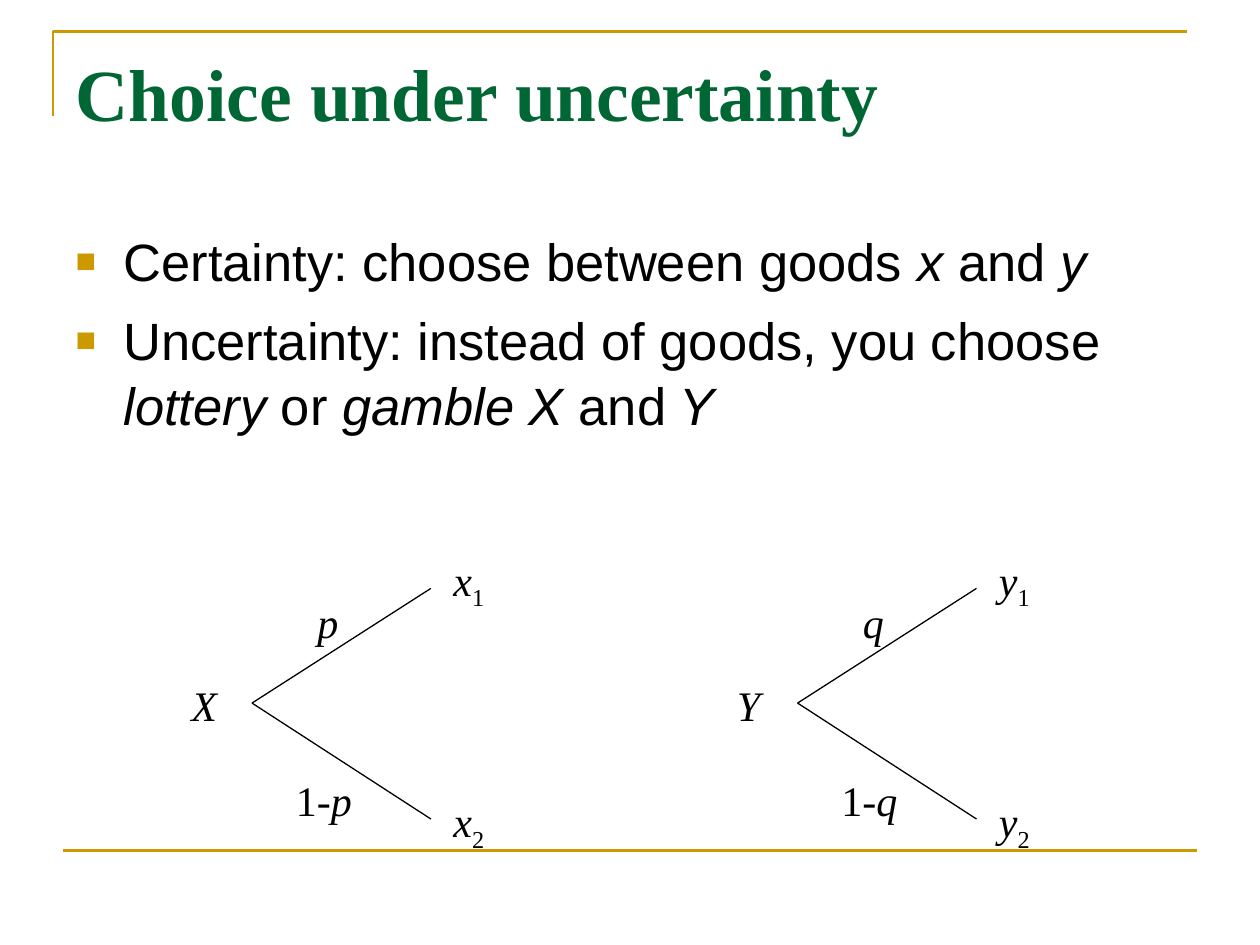
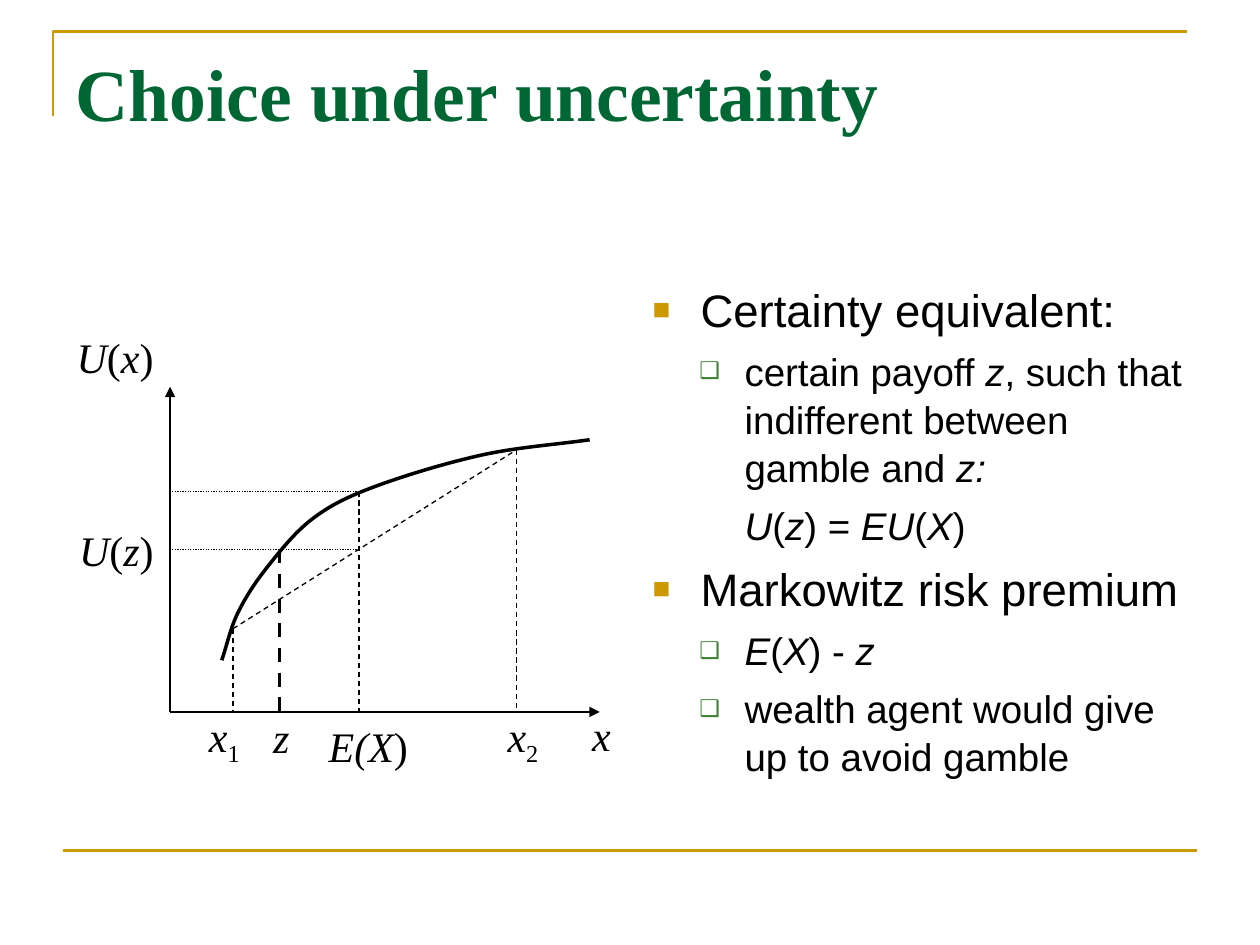
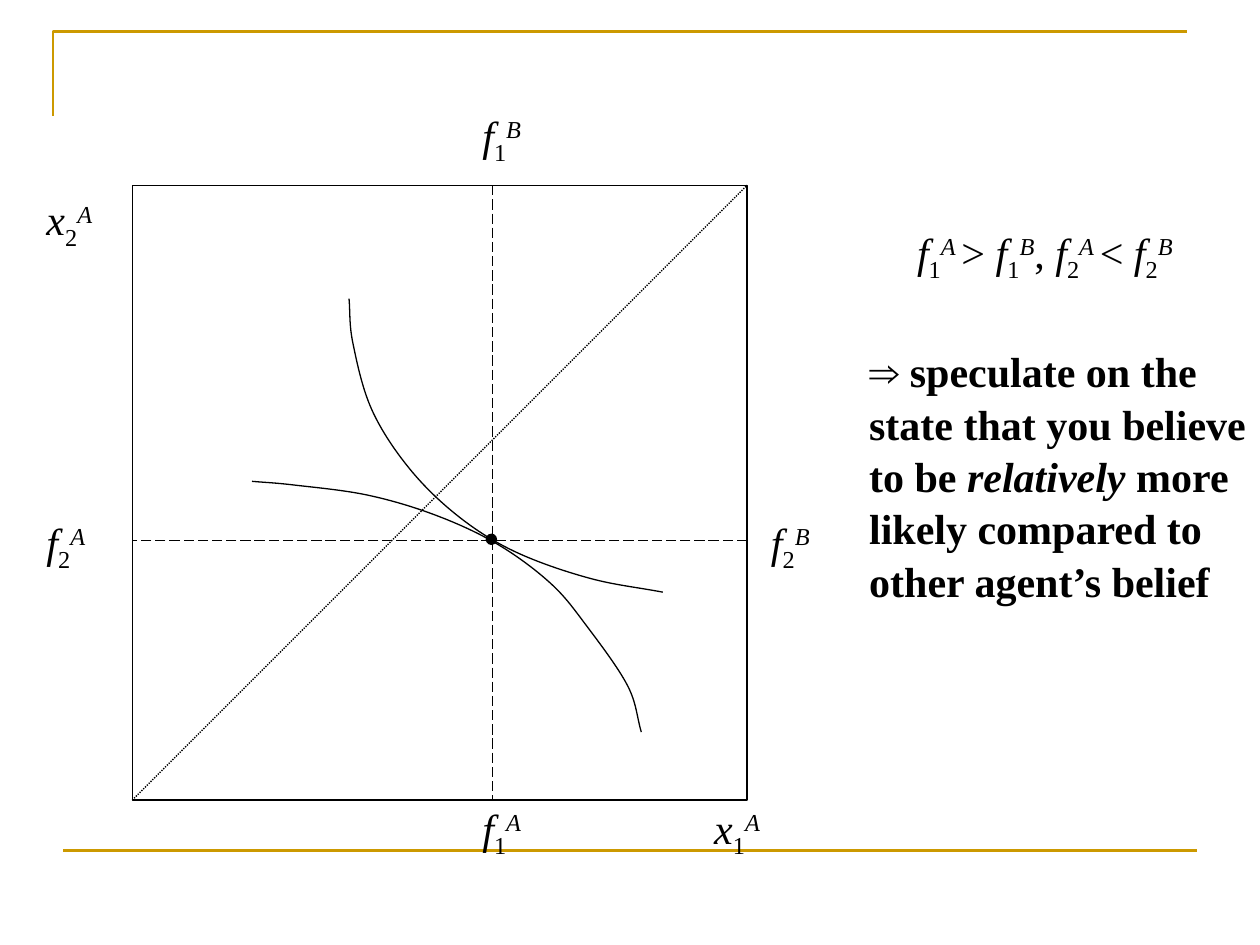
from dataclasses import dataclass
from typing import Optional

import pptx
import pptx.dml.color
import pptx.enum.dml
import pptx.enum.shapes
import pptx.enum.text
import pptx.oxml
import pptx.oxml.ns
import pptx.util
from lxml import etree

Inches = pptx.util.Inches
Pt = pptx.util.Pt
qn = pptx.oxml.ns.qn
DASHES = pptx.enum.dml.MSO_LINE

# Shared look
GOLD, GREEN, LEAF, BLACK = "CC9900", "006633", "3B812F", "000000"
SERIF, SANS = "Times New Roman", "Arial"
TITLE_FONT = {"name": SERIF, "size": Pt(42), "bold": True}
LABEL_FONT = {"name": SERIF, "size": Pt(24)}
LINE_SPACING = 1.04
THIN, THICK = 0.75, 2


@dataclass
class Level:
    size: int
    before: float
    margin: float
    hanging: float
    bullet: str = ""
    colour: str = ""
    bullet_size: int = 0
    level: int = 0


@dataclass
class Label:
    text: str
    left: float
    top: float
    width: float
    height: float = 0.5


@dataclass
class Line:
    x1: float
    y1: float
    x2: float
    y2: float
    width: float = THIN
    dash: Optional[pptx.enum.dml.MSO_LINE] = None
    arrow: bool = False
    colour: str = BLACK


LARGE = Level(30, 7.5, 0.38, 0.38, "■", GOLD, 65)
MEDIUM = Level(26, 6.5, 0.38, 0.38, "■", GOLD, 65)
DETAIL = Level(22, 5.5, 0.73, 0.36, "❑", LEAF, 60, 1)
FORMULA = Level(22, 5.5, 0.73, 0, level=1)


def rgb(colour: str) -> pptx.dml.color.RGBColor:
    return pptx.dml.color.RGBColor.from_string(colour)


# Text
def add_runs(p, markup: str, font: dict, colour: str = BLACK) -> None:
    """Add runs; * toggles italic, _ subscript and ^ superscript."""
    italic, base, text = False, 0, ""
    offsets = {"_": -25000, "^": 30000}
    for ch in markup + "\n":
        if ch not in "*_^\n":
            text += ch
            continue
        if text:
            r = p.add_run()
            r.text = text
            for key, value in {**font, "italic": italic}.items():
                setattr(r.font, key, value)
            r.font.color.rgb = rgb(colour)
            if base:
                r._r.get_or_add_rPr().set("baseline", str(base))
            text = ""
        if ch == "*":
            italic = not italic
        elif ch in offsets:
            base = 0 if base == offsets[ch] else offsets[ch]


def place(sp, left: float, top: float, width: float, height: float) -> None:
    for key, value in {"left": left, "top": top, "width": width, "height": height}.items():
        setattr(sp, key, Inches(value))


def setup_frame(tf, auto_size) -> None:
    for key, value in {"word_wrap": True, "auto_size": auto_size,
                       "vertical_anchor": pptx.enum.text.MSO_ANCHOR.TOP}.items():
        setattr(tf, key, value)


def add_title(s, text: str) -> None:
    sp = s.shapes.title
    place(sp, 0.5, 0.3, 9, 1.25)
    setup_frame(sp.text_frame, pptx.enum.text.MSO_AUTO_SIZE.NONE)
    p = sp.text_frame.paragraphs[0]
    p.alignment = pptx.enum.text.PP_ALIGN.LEFT
    p.line_spacing = LINE_SPACING
    add_runs(p, text, TITLE_FONT, GREEN)


def set_bullet(p, level: Level) -> None:
    pPr = p._p.get_or_add_pPr()
    pPr.set("marL", str(Inches(level.margin)))
    pPr.set("indent", str(-Inches(level.hanging)))
    if not level.bullet:
        etree.SubElement(pPr, qn("a:buNone"))
        return
    colour = etree.SubElement(pPr, qn("a:buClr"))
    etree.SubElement(colour, qn("a:srgbClr"), val=level.colour)
    etree.SubElement(pPr, qn("a:buSzPct"), val=str(level.bullet_size * 1000))
    etree.SubElement(pPr, qn("a:buFont"), typeface=SANS)
    etree.SubElement(pPr, qn("a:buChar"), char=level.bullet)


def add_list(s, box: tuple, items: list) -> None:
    sp = s.placeholders[1]
    place(sp, *box)
    tf = sp.text_frame
    setup_frame(tf, pptx.enum.text.MSO_AUTO_SIZE.NONE)
    for i, (level, markup) in enumerate(items):
        p = tf.add_paragraph() if i else tf.paragraphs[0]
        for key, value in {"level": level.level, "space_before": Pt(level.before),
                           "line_spacing": LINE_SPACING}.items():
            setattr(p, key, value)
        set_bullet(p, level)
        add_runs(p, markup, {"name": SANS, "size": Pt(level.size)})


def add_label(s, label: Label):
    sp = s.shapes.add_textbox(Inches(label.left), Inches(label.top),
                              Inches(label.width), Inches(label.height))
    setup_frame(sp.text_frame, pptx.enum.text.MSO_AUTO_SIZE.SHAPE_TO_FIT_TEXT)
    p = sp.text_frame.paragraphs[0]
    p.line_spacing = LINE_SPACING
    add_runs(p, label.text, LABEL_FONT)
    return p


# Lines and outlines
def add_line(s, line: Line) -> None:
    sp = s.shapes.add_connector(pptx.enum.shapes.MSO_CONNECTOR.STRAIGHT,
                                Inches(line.x1), Inches(line.y1),
                                Inches(line.x2), Inches(line.y2))
    sp.line.color.rgb = rgb(line.colour)
    sp.line.width = Pt(line.width)
    if line.dash:
        sp.line.dash_style = line.dash
    if line.arrow:
        etree.SubElement(sp.line._get_or_add_ln(), qn("a:tailEnd"), type="triangle")
    etree.SubElement(sp._element.spPr, qn("a:effectLst"))


def outline(sp, colour: str = BLACK, width: float = THIN) -> None:
    sp.shadow.inherit = False
    sp.fill.background()
    sp.line.color.rgb = rgb(colour)
    sp.line.width = Pt(width)


def add_freeform(s, points: list):
    start, *rest = [(Inches(x), Inches(y)) for x, y in points]
    builder = s.shapes.build_freeform(*start)
    builder.add_line_segments(rest, close=False)
    return builder.convert_to_shape()


def add_curve(s, knots: list, width: float = THIN) -> None:
    """Draw a smooth curve whose tangents run parallel to neighbouring knots."""
    def beyond(end, inner):
        return tuple(2 * a - b for a, b in zip(end, inner))

    ext = [beyond(knots[0], knots[1]), *knots, beyond(knots[-1], knots[-2])]
    points = [knots[0]]
    for before, a, b, after in zip(ext, ext[1:], ext[2:], ext[3:]):
        points += [tuple(k + (n - m) / 6 for k, m, n in zip(a, before, b)),
                   tuple(k - (n - m) / 6 for k, m, n in zip(b, a, after)), b]
    sp = add_freeform(s, points)
    outline(sp, width=width)
    # Turn each three points into one Bézier segment
    track = next(sp._element.iter(qn("a:path")))
    steps = track.findall(qn("a:lnTo"))
    for i in range(0, len(steps), 3):
        bezier = etree.SubElement(track, qn("a:cubicBezTo"))
        for step in steps[i:i + 3]:
            bezier.append(step[0])
            track.remove(step)


def new_slide(prs, layout: int):
    s = prs.slides.add_slide(prs.slide_layouts[layout])
    outline(add_freeform(s, [(0.42, 0.92), (0.42, 0.25), (9.42, 0.25)]), GOLD, 1.5)
    add_line(s, Line(0.5, 6.75, 9.5, 6.75, 1.5, colour=GOLD))
    return s


# Slide 1: lotteries
def add_gamble(s, left: float, name: str, outcome: str, chance: str) -> None:
    for end in (4.67, 6.5):
        add_line(s, Line(left + 0.58, 5.58, left + 2, end))
    for label in (Label(f"*{name}*", left, 5.33, 0.5),
                  Label(f"*{chance}*", left + 1, 4.67, 0.5),
                  Label(f"1*-{chance}*", left + 0.83, 6.08, 0.75),
                  Label(f"*{outcome}*_1_", left + 2.08, 4.33, 0.58, 0.56),
                  Label(f"*{outcome}*_2_", left + 2.08, 6.25, 0.58, 0.56)):
        add_label(s, label)


def build_lotteries(prs) -> None:
    s = new_slide(prs, 1)
    add_title(s, "Choice under uncertainty")
    add_list(s, (0.5, 1.75, 9, 4.95), [
        (LARGE, "Certainty: choose between goods *x* and *y*"),
        (LARGE, "Uncertainty: instead of goods, you choose "
                "*lottery* or *gamble X *and* Y*"),
    ])
    add_gamble(s, 1.42, "X", "x", "p")
    add_gamble(s, 5.75, "Y", "y", "q")


# Slide 2: certainty equivalent
def build_certainty_equivalent(prs) -> None:
    s = new_slide(prs, 1)
    add_title(s, "Choice under uncertainty")
    add_list(s, (5.08, 2.17, 4.53, 4.5), [
        (MEDIUM, "Certainty equivalent:"),
        (DETAIL, "certain payoff *z*, such that indifferent between gamble and *z:*"),
        (FORMULA, "*U*(*z*) = *EU*(*X*)"),
        (MEDIUM, "Markowitz risk premium"),
        (DETAIL, "*E*(*X*) - *z*"),
        (DETAIL, "wealth agent would give up to avoid gamble"),
    ])

    x0, y0 = 1.35, 5.65
    low, high = (1.85, 4.99), (4.1, 3.57)
    mean, sure = (2.85, 3.9), (2.22, 4.36)
    add_curve(s, [(1.76, 5.24), (1.89, 4.86), (2.13, 4.49), (2.49, 4.11),
                  (2.98, 3.86), (3.83, 3.61), (4.68, 3.49)], THICK)
    add_line(s, Line(x0, y0, 4.76, y0, arrow=True))
    add_line(s, Line(x0, y0, x0, 3.07, arrow=True))
    for x, y in (low, mean, high):
        add_line(s, Line(x, y, x, y0, dash=DASHES.DASH))
    add_line(s, Line(*low, *high, dash=DASHES.DASH))
    add_line(s, Line(*sure, sure[0], y0, THICK, DASHES.DASH))
    for _, y in (mean, sure):
        add_line(s, Line(mean[0], y, x0, y, dash=DASHES.ROUND_DOT))

    for label in (Label("*x*", 4.6, 5.57, 0.42),
                  Label("*U*(*x*)", 0.51, 2.57, 0.92),
                  Label("*x*_1_", 1.56, 5.57, 0.5, 0.56),
                  Label("*x*_2_", 3.93, 5.57, 0.5, 0.56),
                  Label("*E(X*)", 2.51, 5.65, 0.92),
                  Label("*z*", 2.07, 5.58, 0.46),
                  Label("*U*(*z*)", 0.53, 4.1, 0.83)):
        add_label(s, label)


# Slide 3: exchange box with differing beliefs
def symbol(letter: str, state: int, agent: str) -> str:
    return f"*{letter}*_{state}_*^{agent}^*"


def build_beliefs(prs) -> None:
    s = new_slide(prs, 6)
    left, top, side = 1.05, 1.47, 4.88
    right, bottom = left + side, top + side
    trade_x, trade_y = 3.91, 4.29

    sp = s.shapes.add_shape(pptx.enum.shapes.MSO_SHAPE.RECTANGLE, Inches(left),
                            Inches(top), Inches(side), Inches(side))
    outline(sp)
    add_line(s, Line(left, bottom, right, top, dash=DASHES.ROUND_DOT))
    add_line(s, Line(trade_x, top, trade_x, bottom, dash=DASHES.LONG_DASH))
    add_line(s, Line(right, trade_y, left, trade_y, dash=DASHES.LONG_DASH))
    add_curve(s, [(2.77, 2.37), (2.8, 2.72), (2.95, 3.25), (3.25, 3.72),
                  (3.64, 4.1), (4.09, 4.38), (4.68, 4.59), (5.26, 4.7)])
    add_curve(s, [(2, 3.82), (2.34, 3.85), (2.92, 3.93), (3.46, 4.09), (3.95, 4.32),
                  (4.37, 4.63), (4.65, 4.96), (4.98, 5.44), (5.09, 5.81)])
    dot = s.shapes.add_shape(pptx.enum.shapes.MSO_SHAPE.OVAL, Inches(3.86),
                             Inches(4.24), Inches(0.08), Inches(0.08))
    outline(dot)
    dot.fill.solid()
    dot.fill.fore_color.rgb = rgb(BLACK)

    for letter, state, agent, x, y in (("x", 1, "A", 5.57, 6.3), ("x", 2, "A", 0.27, top),
                                       ("f", 1, "A", 3.73, 6.3), ("f", 1, "B", 3.73, 0.8),
                                       ("f", 2, "A", 0.27, 4.03), ("f", 2, "B", 6.02, 4.03)):
        add_label(s, Label(symbol(letter, state, agent), x, y, 0.78, 0.56))

    beliefs = ", ".join(f"{symbol('f', state, 'A ')}{sign} {symbol('f', state, 'B')}"
                        for state, sign in ((1, ">"), (2, "<")))
    add_label(s, Label(beliefs, 7.18, 1.73, 2.61, 0.56))
    p = add_label(s, Label("", 6.8, 2.68, 3.2, 2.1))
    add_runs(p, "⇒", {**LABEL_FONT, "name": SANS, "bold": True})
    add_runs(p, " speculate on the state that you believe to be *relatively* more "
                "likely compared to other agent’s belief", {**LABEL_FONT, "bold": True})


def main() -> None:
    prs = pptx.Presentation()
    prs.slide_width, prs.slide_height = Inches(10), Inches(7.5)
    build_lotteries(prs)
    build_certainty_equivalent(prs)
    build_beliefs(prs)
    prs.save("out.pptx")


if __name__ == "__main__":
    main()
